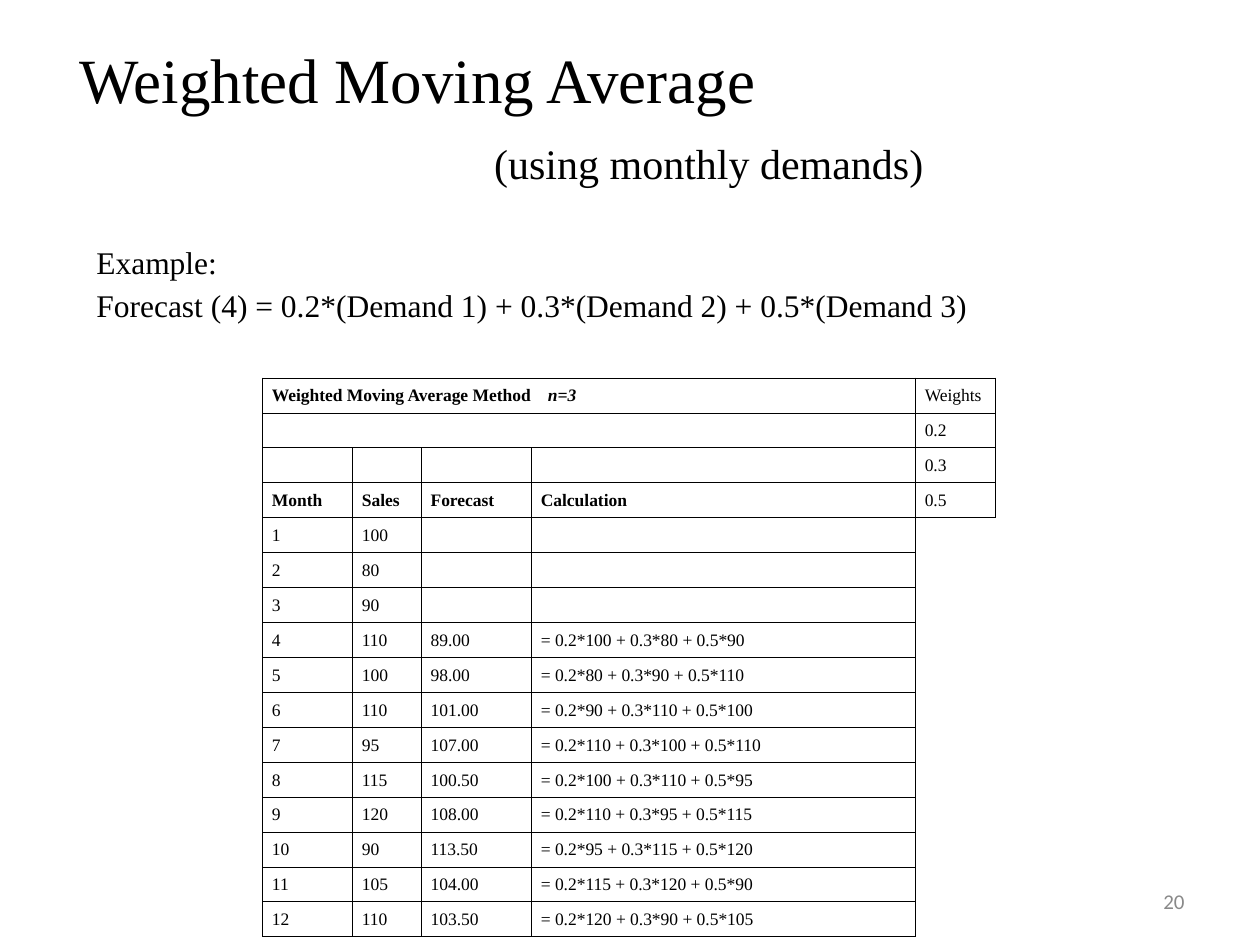
import pptx
import pptx.dml.color
import pptx.enum.text
import pptx.oxml.ns
import pptx.util
from lxml import etree

Pt = pptx.util.Pt
ALIGN = pptx.enum.text.PP_ALIGN
ANCHOR = pptx.enum.text.MSO_ANCHOR
COLORS = {"ink": "000000", "page_number": "898989"}
SERIF = "Times New Roman"

WEIGHTS = (0.2, 0.3, 0.5)
SALES = (100, 80, 90, 110, 100, 110, 95, 115, 120, 90, 105, 110)
HEADINGS = ("Month", "Sales", "Forecast", "Calculation")
HEADING_ROW = 3
COLUMN_WIDTHS = (51.4, 39.3, 63, 219.4, 45.7)
ROW_HEIGHT = 15.8


def add_node(parent, tag, **attributes):
    return etree.SubElement(parent, pptx.oxml.ns.qn(tag), attributes)


def add_span(para, text, size=10, font=SERIF, color="ink", bold=False, italic=False):
    span = para.add_run()
    span.text = text
    span.font.size = Pt(size)
    span.font.name = font
    span.font.bold = bold
    span.font.italic = italic
    span.font.color.rgb = pptx.dml.color.RGBColor.from_string(COLORS[color])


def add_box(page, left, top, width, height, anchor=ANCHOR.TOP):
    frame = page.shapes.add_textbox(Pt(left), Pt(top), Pt(width), Pt(height)).text_frame
    frame.word_wrap = True
    frame.vertical_anchor = anchor
    return frame


def set_para(para, align=ALIGN.JUSTIFY, spacing=None, before=None, indent=None):
    if indent is not None:
        para._p.get_or_add_pPr().set("marL", str(Pt(indent)))
    para.alignment = align
    para.line_spacing = spacing
    if before is not None:
        para.space_before = Pt(before)


def set_borders(cell, sides):
    properties = cell._tc.get_or_add_tcPr()
    for side in "LRTB":
        line = add_node(properties, f"a:ln{side}", w=str(Pt(0.45)))
        if side in sides:
            fill = add_node(line, "a:solidFill")
            add_node(fill, "a:srgbClr", val=COLORS["ink"])
        else:
            add_node(line, "a:noFill")


def format_cell(cell, sides):
    set_borders(cell, sides)
    cell.fill.background()
    cell.vertical_anchor = ANCHOR.MIDDLE
    cell.margin_left = cell.margin_right = Pt(5.4)
    cell.margin_top = cell.margin_bottom = Pt(3.6)
    para = cell.text_frame.paragraphs[0]
    set_para(para, spacing=1.06)
    para.font.size = Pt(10)
    para.font.name = SERIF


def write_cell(cell, text, **style):
    add_span(cell.text_frame.paragraphs[0], text, **style)


def month_row(index):
    """Month, sales and, once three months are known, forecast and calculation."""
    texts = [str(index + 1), str(SALES[index])]
    if index >= len(WEIGHTS):
        terms = list(zip(WEIGHTS, SALES[index - len(WEIGHTS):index]))
        forecast = sum(weight * sales for weight, sales in terms)
        formula = " + ".join(f"{weight}*{sales}" for weight, sales in terms)
        texts += [f"{forecast:.2f}", f"= {formula}"]
    return texts


def add_forecast_table(page):
    first_month = HEADING_ROW + 1
    rows, columns = first_month + len(SALES), len(COLUMN_WIDTHS)
    last = columns - 1
    table = page.shapes.add_table(rows, columns, Pt(150), Pt(216),
                                  Pt(sum(COLUMN_WIDTHS)), Pt(ROW_HEIGHT * rows)).table
    table.first_row = table.horz_banding = False
    for column, width in zip(table.columns, COLUMN_WIDTHS):
        column.width = Pt(width)

    # Grid lines everywhere except around the empty corner below the weights
    for row in range(rows):
        table.rows[row].height = Pt(ROW_HEIGHT)
        for column in range(columns):
            in_corner = column == last and row >= first_month
            sides = "LRTB" if not in_corner else "LT" if row == first_month else "L"
            format_cell(table.cell(row, column), sides)
    for row in (0, 1):
        table.cell(row, 0).merge(table.cell(row, last - 1))
    table.cell(first_month, last).merge(table.cell(rows - 1, last))

    # Heading with a tab stop before the number of periods
    heading = table.cell(0, 0)
    para = heading.text_frame.paragraphs[0]
    stops = etree.Element(pptx.oxml.ns.qn("a:tabLst"))
    add_node(stops, "a:tab", pos=str(Pt(157.7)), algn="l")
    para._p.pPr.find(pptx.oxml.ns.qn("a:defRPr")).addprevious(stops)
    write_cell(heading, "Weighted Moving Average Method\t", bold=True)
    write_cell(heading, "n=3", bold=True, italic=True)

    # Weights, column headings and months
    for row, text in enumerate(("Weights", *WEIGHTS)):
        write_cell(table.cell(row, last), str(text))
    for column, text in enumerate(HEADINGS):
        write_cell(table.cell(HEADING_ROW, column), text, bold=True)
    for index in range(len(SALES)):
        for column, text in enumerate(month_row(index)):
            write_cell(table.cell(first_month + index, column), text)


def add_title(page):
    frame = add_box(page, 36, 21.6, 648, 90, ANCHOR.MIDDLE)
    frame.margin_bottom = Pt(6.4)
    set_para(frame.paragraphs[0], ALIGN.LEFT, indent=2.4)
    add_span(frame.paragraphs[0], "Weighted Moving Average", size=36)
    subtitle = frame.add_paragraph()
    set_para(subtitle, ALIGN.LEFT, before=12.2, indent=239.3)
    add_span(subtitle, "(using monthly demands)", size=24)


def add_example(page):
    frame = add_box(page, 48, 132, 600, 57)
    formula = " + ".join(f"{weight}*(Demand {month})"
                         for month, weight in enumerate(WEIGHTS, 1))
    for para, text in ((frame.paragraphs[0], "Example:"),
                       (frame.add_paragraph(), f"Forecast (4) = {formula}")):
        set_para(para, spacing=1.15)
        add_span(para, text, size=18)


def add_page_number(page):
    para = add_box(page, 516, 500.5, 168, 28.8, ANCHOR.MIDDLE).paragraphs[0]
    set_para(para, ALIGN.RIGHT)
    add_span(para, "20", size=12, font="Calibri", color="page_number")


def main():
    deck = pptx.Presentation()
    deck.slide_width, deck.slide_height = Pt(720), Pt(540)
    page = deck.slides.add_slide(deck.slide_layouts[6])
    add_title(page)
    add_forecast_table(page)
    add_example(page)
    add_page_number(page)
    deck.save("out.pptx")


if __name__ == "__main__":
    main()
